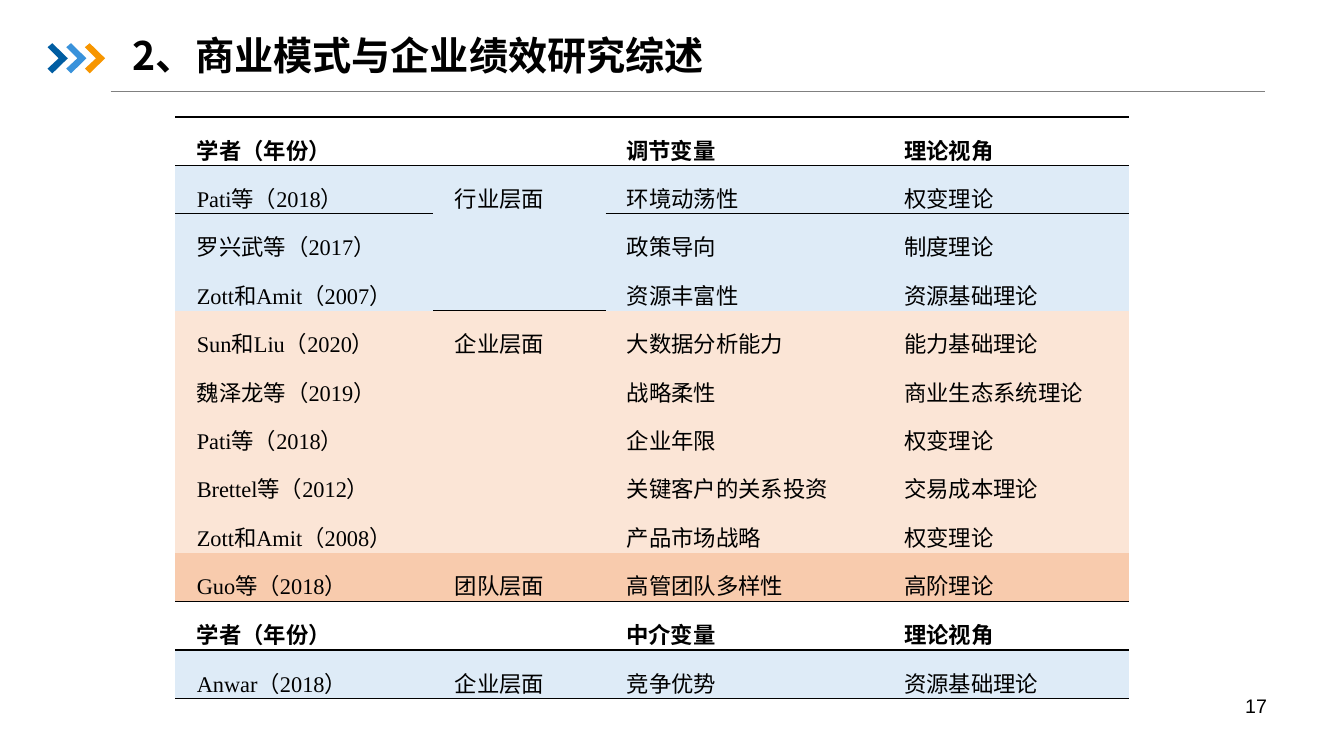
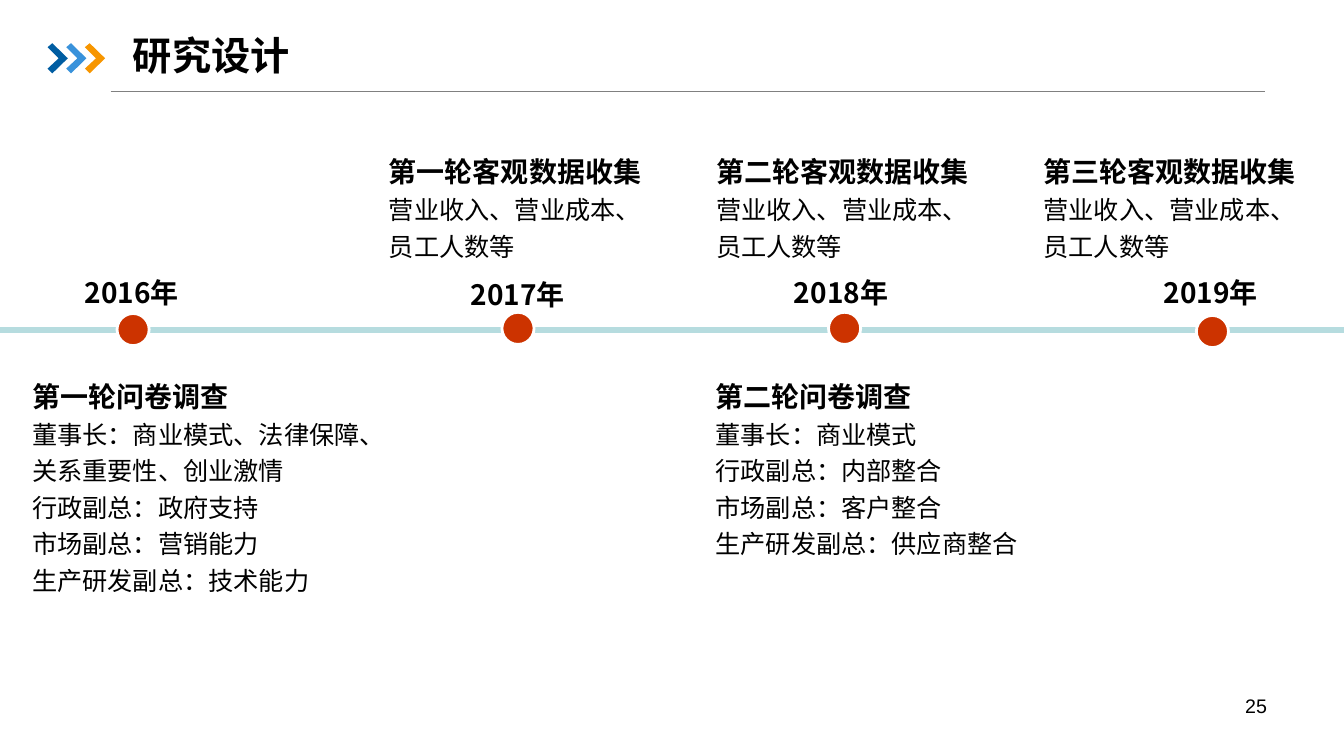
"""Build two research slides: a literature table and a survey timeline."""
import dataclasses
import typing

import lxml.etree
import pptx
import pptx.dml.color
import pptx.enum.shapes
import pptx.enum.text
import pptx.oxml.ns
import pptx.util

Cm = pptx.util.Cm
Pt = pptx.util.Pt
qn = pptx.oxml.ns.qn
ALIGN = pptx.enum.text.PP_ALIGN
ANCHOR = pptx.enum.text.MSO_ANCHOR

SANS = "Noto Sans CJK SC"
SERIF = "Times New Roman"
BLACK = "000000"
BLUE = "DEEBF7"
PEACH = "FBE5D6"
ORANGE = "F8CBAD"
PLAIN_GRID = "{2D5ABB26-0587-4C30-8999-92F81FD0307C}"
ARROWS = ("005DA2", "3992DB", "F79600")
ARROW = ((0, 0.1), (0.12, 0), (0.51, 0.38), (0.12, 0.76), (0, 0.64), (0.28, 0.38))
COLS = (6.5, 4.34, 6.99, 6.2)
ROW = 1.22
INDENT = 0.36


@dataclasses.dataclass(frozen=True)
class Box:
    left: float
    top: float
    width: float
    height: float

    def emu(self) -> list[int]:
        return [Cm(side) for side in (self.left, self.top, self.width, self.height)]


@dataclasses.dataclass(frozen=True)
class Band:
    fill: str
    level: str
    rows: tuple[tuple[str, str, str], ...]


@dataclasses.dataclass(frozen=True)
class Year:
    label: str
    left: float
    top: float
    dot_left: float
    dot_top: float


@dataclasses.dataclass(frozen=True)
class Note:
    box: Box
    title: str
    lines: tuple[str, ...]


MEANS = (
    Band(BLUE, "行业层面", (
        ("Pati等（2018）", "环境动荡性", "权变理论"),
        ("罗兴武等（2017）", "政策导向", "制度理论"),
        ("Zott和Amit（2007）", "资源丰富性", "资源基础理论"))),
    Band(PEACH, "企业层面", (
        ("Sun和Liu（2020）", "大数据分析能力", "能力基础理论"),
        ("魏泽龙等（2019）", "战略柔性", "商业生态系统理论"),
        ("Pati等（2018）", "企业年限", "权变理论"),
        ("Brettel等（2012）", "关键客户的关系投资", "交易成本理论"),
        ("Zott和Amit（2008）", "产品市场战略", "权变理论"))),
    Band(ORANGE, "团队层面", (
        ("Guo等（2018）", "高管团队多样性", "高阶理论"),)),
)
LINKS = (Band(BLUE, "企业层面", (("Anwar（2018）", "竞争优势", "资源基础理论"),)),)

YEARS = (
    Year("2016年", 1.88, 6.81, 2.95, 7.9),
    Year("2017年", 11.61, 6.86, 12.65, 7.87),
    Year("2018年", 19.76, 6.81, 20.88, 7.87),
    Year("2019年", 29.08, 6.83, 30.15, 7.95),
)
SURVEYS = (
    Note(Box(0.56, 9.37, 9.73, 7.67), "第一轮问卷调查", (
        "董事长：商业模式、法律保障、关系重要性、创业激情",
        "行政副总：政府支持", "市场副总：营销能力", "生产研发副总：技术能力")),
    Note(Box(17.78, 9.37, 9.73, 6.73), "第二轮问卷调查", (
        "董事长：商业模式", "行政副总：内部整合",
        "市场副总：客户整合", "生产研发副总：供应商整合")),
)
ROUNDS = tuple(
    Note(Box(9.55 + 8.25 * step, 3.71, 6.99, 3.02), f"第{rank}轮客观数据收集",
         ("营业收入、营业成本、员工人数等",))
    for step, rank in enumerate("一二三"))


def tint(code: str) -> pptx.dml.color.RGBColor:
    return pptx.dml.color.RGBColor.from_string(code)


def add_text(para: typing.Any, text: str, size: float, face: str = SANS,
             bold: bool = False) -> None:
    run = para.add_run()
    run.text = text
    run.font.size = Pt(size)
    run.font.bold = bold
    run.font.name = face
    run.font.color.rgb = tint(BLACK)
    east = lxml.etree.SubElement(run.font._element, qn("a:ea"))
    east.set("typeface", SANS)


def add_box(slide: typing.Any, box: Box) -> typing.Any:
    frame = slide.shapes.add_textbox(*box.emu()).text_frame
    frame.word_wrap = True
    return frame


def add_line(slide: typing.Any, left: float, right: float, top: float,
             code: str, weight: float) -> None:
    line = slide.shapes.add_connector(
        pptx.enum.shapes.MSO_CONNECTOR.STRAIGHT, Cm(left), Cm(top), Cm(right), Cm(top))
    line.line.color.rgb = tint(code)
    line.line.width = Pt(weight)
    lxml.etree.SubElement(line._element.spPr, qn("a:effectLst"))


def add_arrow(slide: typing.Any, left: float, top: float, code: str) -> None:
    points = [(Cm(left + x), Cm(top + y)) for x, y in ARROW]
    pen = slide.shapes.build_freeform(*points[0])
    pen.add_line_segments(points[1:], close=True)
    shape = pen.convert_to_shape()
    shape.shadow.inherit = False
    shape.fill.solid()
    shape.fill.fore_color.rgb = tint(code)
    shape.line.fill.background()


def add_slide(deck: typing.Any, title: str, width: float, page: str) -> typing.Any:
    slide = deck.slides.add_slide(deck.slide_layouts[6])
    add_line(slide, 2.79, 31.88, 2.31, "808080", 0.5)
    for step, code in enumerate(ARROWS):
        add_arrow(slide, 1.2 + 0.47 * step, 1.09, code)
    frame = add_box(slide, Box(3.1, 0.79, width, 1.35))
    frame.vertical_anchor = ANCHOR.MIDDLE
    frame.paragraphs[0].line_spacing = 0.9
    add_text(frame.paragraphs[0], title, 28, bold=True)
    foot = add_box(slide, Box(24.28, 17.35, 7.9, 1.32)).paragraphs[0]
    foot.alignment = ALIGN.RIGHT
    add_text(foot, page, 14, "Arial")
    return slide


def add_edge(cell: typing.Any, side: str) -> None:
    edge = lxml.etree.SubElement(cell._tc.get_or_add_tcPr(), qn(f"a:{side}"))
    edge.set("w", str(Pt(1)))
    fill = lxml.etree.SubElement(edge, qn("a:solidFill"))
    lxml.etree.SubElement(fill, qn("a:srgbClr")).set("val", BLACK)


def fill_cell(cell: typing.Any, text: str, head: bool, center: bool) -> None:
    cell.margin_left = cell.margin_right = Cm(0.18)
    cell.margin_top = cell.margin_bottom = 0
    cell.vertical_anchor = ANCHOR.MIDDLE if head else ANCHOR.TOP
    para = cell.text_frame.paragraphs[0]
    para.line_spacing = 1.5
    para.alignment = ALIGN.CENTER if center else ALIGN.LEFT
    indent = Cm(INDENT + 0.28 if center else INDENT)
    para._p.get_or_add_pPr().set("indent", str(indent))
    add_text(para, text, 16, SERIF, head)


def add_grid(slide: typing.Any, top: float, factor: str, bands: tuple[Band, ...]) -> None:
    rows = [("学者（年份）", factor, "", "理论视角")]
    fills = [""]
    spans = []
    for band in bands:
        spans.append((len(rows), len(rows) + len(band.rows) - 1))
        for step, (name, topic, theory) in enumerate(band.rows):
            rows.append((name, "" if step else band.level, topic, theory))
            fills.append(band.fill)
    box = Box(4.42, top, sum(COLS), ROW * len(rows))
    table = slide.shapes.add_table(len(rows), len(COLS), *box.emu()).table
    table.first_row = table.horz_banding = False
    table._tbl.tblPr.find(qn("a:tableStyleId")).text = PLAIN_GRID
    for column, width in zip(table.columns, COLS):
        column.width = Cm(width)
    for r, row in enumerate(rows):
        table.rows[r].height = Cm(ROW)
        for c, text in enumerate(row):
            cell = table.cell(r, c)
            if r < 2:
                add_edge(cell, "lnT")
            if r in (0, len(rows) - 1):
                add_edge(cell, "lnB")
            if fills[r]:
                cell.fill.solid()
                cell.fill.fore_color.rgb = tint(fills[r])
            else:
                cell.fill.background()
            fill_cell(cell, text, r == 0, r == 0 and c == 1)
    table.cell(0, 1).merge(table.cell(0, 2))
    for first, last in spans:
        if last > first:
            table.cell(first, 1).merge(table.cell(last, 1))


def add_year(slide: typing.Any, year: Year) -> None:
    frame = add_box(slide, Box(year.left, year.top, 3.5, 1.12))
    add_text(frame.paragraphs[0], year.label, 20, bold=True)
    dot = slide.shapes.add_shape(
        pptx.enum.shapes.MSO_SHAPE.OVAL, *Box(year.dot_left, year.dot_top, 0.81, 0.81).emu())
    dot.shadow.inherit = False
    dot.fill.solid()
    dot.fill.fore_color.rgb = tint("CC3300")
    dot.line.color.rgb = tint("FFFFFF")
    dot.line.width = Pt(2)


def add_note(slide: typing.Any, note: Note) -> None:
    frame = add_box(slide, note.box)
    for step, text in enumerate((note.title, *note.lines)):
        para = frame.add_paragraph() if step else frame.paragraphs[0]
        para.line_spacing = Pt(26)
        add_text(para, text, 18 if step else 20, bold=step == 0)


def main() -> None:
    deck = pptx.Presentation()
    deck.slide_width = Cm(33.87)
    deck.slide_height = Cm(19.05)

    review = add_slide(deck, "2、商业模式与企业绩效研究综述", 15.54, "17")
    add_grid(review, 2.95, "调节变量", MEANS)
    add_grid(review, 15.16, "中介变量", LINKS)

    design = add_slide(deck, "研究设计", 23.57, "25")
    add_line(design, 0, 33.87, 8.31, "B6DCDF", 4.5)
    for year in YEARS:
        add_year(design, year)
    for note in SURVEYS + ROUNDS:
        add_note(design, note)

    deck.save("out.pptx")


if __name__ == "__main__":
    main()
